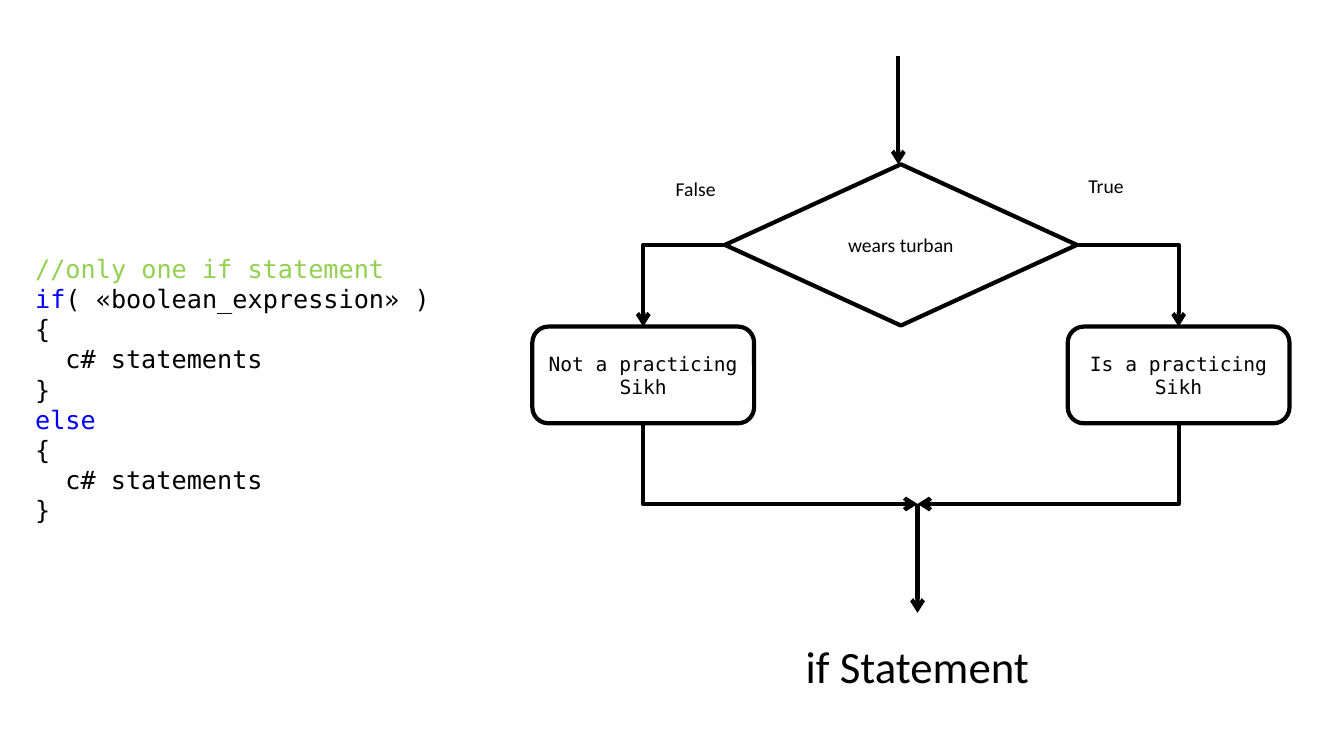
import dataclasses

import lxml.etree
import pptx
import pptx.dml.color
import pptx.enum.shapes
import pptx.enum.text
import pptx.oxml.ns
import pptx.util

KINDS = pptx.enum.shapes.MSO_SHAPE
CONNECTORS = pptx.enum.shapes.MSO_CONNECTOR
ALIGN = pptx.enum.text.PP_ALIGN
MIDDLE = pptx.enum.text.MSO_ANCHOR.MIDDLE


@dataclasses.dataclass(frozen=True)
class Theme:
    ink: str = "000000"
    comment: str = "92D050"
    keyword: str = "0000FE"
    sans: str = "Calibri"
    mono: str = "DejaVu Sans Mono"
    label_size: int = 14
    code_size: int = 18
    title_size: int = 32
    line_width: int = 3


class FlowPage:
    """Draws on one page; lengths are columns and rows of a 0.1 inch grid."""

    def __init__(self, page, theme):
        self.page = page
        self.theme = theme

    @staticmethod
    def cells(*counts):
        return [pptx.util.Inches(count / 10) for count in counts]

    def style(self, span, size, font, color=None):
        span.font.size = pptx.util.Pt(size)
        span.font.name = font
        span.font.color.rgb = pptx.dml.color.RGBColor.from_string(color or self.theme.ink)

    def outline(self, line):
        line.color.rgb = pptx.dml.color.RGBColor.from_string(self.theme.ink)
        line.width = pptx.util.Pt(self.theme.line_width)

    def centred(self, box, text, size, font):
        frame = box.text_frame
        frame.text = text
        frame.word_wrap = True
        frame.vertical_anchor = MIDDLE
        para = frame.paragraphs[0]
        para.alignment = ALIGN.CENTER
        self.style(para.runs[0], size, font)

    def node(self, kind, place, text, font, outlined=True):
        box = self.page.shapes.add_shape(kind, *self.cells(*place))
        box.shadow.inherit = False
        box.fill.background()
        if outlined:
            self.outline(box.line)
        else:
            box.line.fill.background()
        self.centred(box, text, self.theme.label_size, font)

    def title(self, place, text):
        box = self.page.shapes.add_textbox(*self.cells(*place))
        self.centred(box, text, self.theme.title_size, self.theme.sans)

    def arrow(self, start, end, kind=CONNECTORS.STRAIGHT):
        connector = self.page.shapes.add_connector(kind, *self.cells(*start, *end))
        self.outline(connector.line)
        tail = pptx.oxml.ns.qn("a:tailEnd")
        lxml.etree.SubElement(connector.line._get_or_add_ln(), tail, type="arrow")
        properties = connector._element.spPr
        lxml.etree.SubElement(properties, pptx.oxml.ns.qn("a:effectLst"))
        return properties

    def elbow(self, start, end, down_first=False):
        """One-corner arrow: sideways then down, or down then sideways."""
        turn = 0
        if down_first:
            # A quarter turn about the centre swaps width and height
            rightward = end[0] > start[0]
            turn = 270 if rightward else 90
            middle = [(a + b) / 2 for a, b in zip(start, end)]
            half_width = (end[1] - start[1]) / 2
            half_height = abs(end[0] - start[0]) / 2
            side = half_width if rightward else -half_width
            start = (middle[0] + side, middle[1] - half_height)
            end = (middle[0] - side, middle[1] + half_height)
        properties = self.arrow(start, end, CONNECTORS.ELBOW)
        properties.find(pptx.oxml.ns.qn("a:prstGeom")).set("prst", "bentConnector2")
        if turn:
            properties.find(pptx.oxml.ns.qn("a:xfrm")).set("rot", str(turn * 60000))

    def code(self, place, lines, indent):
        box = self.page.shapes.add_textbox(*self.cells(*place))
        frame = box.text_frame
        frame.word_wrap = True
        frame.auto_size = pptx.enum.text.MSO_AUTO_SIZE.SHAPE_TO_FIT_TEXT
        for number, (level, parts) in enumerate(lines):
            para = frame.add_paragraph() if number else frame.paragraphs[0]
            if level:
                margin = self.cells(level * indent)[0]
                para._p.get_or_add_pPr().set("marL", str(margin))
            for text, color in parts:
                span = para.add_run()
                span.text = text
                self.style(span, self.theme.code_size, self.theme.mono, color)


def main():
    deck = pptx.Presentation()
    deck.slide_width = pptx.util.Inches(13.33)
    deck.slide_height = pptx.util.Inches(7.5)
    theme = Theme()
    flow = FlowPage(deck.slides.add_slide(deck.slide_layouts[6]), theme)

    # Grid lines of the flow chart
    branch_row, box_row, box_end, join_row = 24.3, 32.4, 42, 50
    box_width, join_column = 22, 91
    decision_left, decision_top, decision_width, decision_height = 71.9, 16.3, 34.9, 16
    entry_column = 89.1

    # Decision with its entry arrow
    flow.node(KINDS.FLOWCHART_DECISION,
              (decision_left, decision_top, decision_width, decision_height),
              "wears turban", theme.sans)
    flow.arrow((entry_column, 5.6), (entry_column, decision_top))

    # Branches: outcome box, its column, decision corner, answer label
    branches = [
        ("Not a practicing Sikh", 63.8, decision_left, "False", (63.2, 16.3)),
        ("Is a practicing Sikh", 116.9, decision_left + decision_width, "True", (103.9, 16)),
    ]
    for outcome, column, corner, answer, label in branches:
        flow.node(KINDS.FLOWCHART_ALTERNATE_PROCESS,
                  (column - box_width / 2, box_row, box_width, box_end - box_row),
                  outcome, theme.mono)
        flow.elbow((corner, branch_row), (column, box_row))
        flow.elbow((column, box_end), (join_column, join_row), down_first=True)
        flow.node(KINDS.FLOWCHART_ALTERNATE_PROCESS, (*label, 11.6, 4.8),
                  answer, theme.sans, outlined=False)

    # Exit arrow and title
    flow.arrow((join_column, join_row), (join_column, 60.8))
    flow.title((63.3, 61.5, 55.4, 9), "if Statement")

    # Code listing: indent level and coloured parts of each line
    block = [(0, [("{", theme.ink)]),
             (1, [("c# statements", theme.ink)]),
             (0, [("}", theme.ink)])]
    lines = [(0, [("//only one if statement", theme.comment)]),
             (0, [("if", theme.keyword), ("( «boolean_expression» )", theme.ink)]),
             *block,
             (0, [("else", theme.keyword)]),
             *block]
    flow.code((2.5, 24.6, 43.8, 28.3), lines, indent=3)

    deck.save("out.pptx")


if __name__ == "__main__":
    main()
